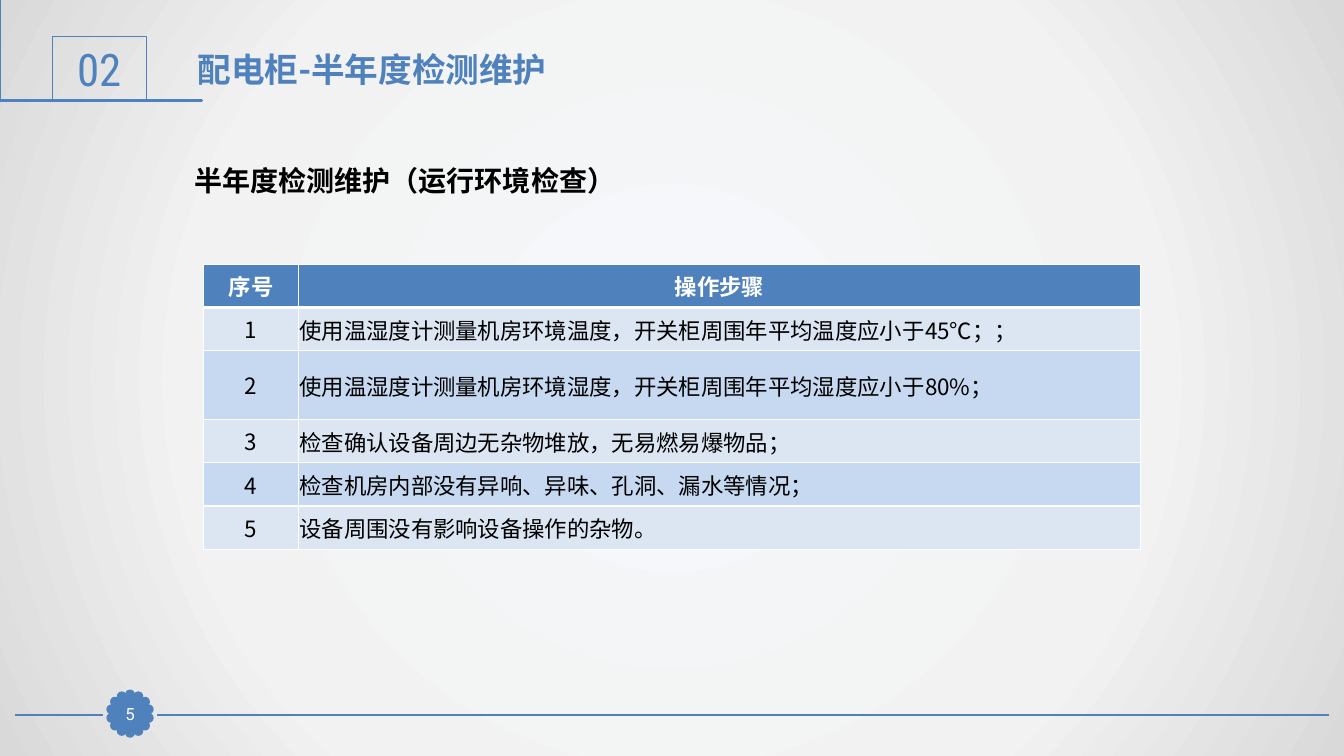
"""Build the half-year power cabinet maintenance slide."""
from math import cos, pi, sin

from lxml.etree import SubElement
from pptx import Presentation
from pptx.dml.color import RGBColor
from pptx.enum.shapes import MSO_CONNECTOR, MSO_SHAPE
from pptx.enum.text import MSO_ANCHOR, PP_ALIGN
from pptx.oxml import parse_xml
from pptx.oxml.ns import nsdecls, qn
from pptx.util import Inches, Pt

TITLE = "配电柜-半年度检测维护"
SUBTITLE = "半年度检测维护（运行环境检查）"
SECTION, PAGE = "02", "5"
HEADER = ("序号", "操作步骤")
STEPS = [
    "使用温湿度计测量机房环境温度，开关柜周围年平均温度应小于45℃；；",
    "使用温湿度计测量机房环境湿度，开关柜周围年平均湿度应小于80%；",
    "检查确认设备周边无杂物堆放，无易燃易爆物品；",
    "检查机房内部没有异响、异味、孔洞、漏水等情况；",
    "设备周围没有影响设备操作的杂物。",
]
COLUMN_WIDTHS = (0.94, 8.35)
ROW_HEIGHTS = (0.43, 0.43, 0.68, 0.43, 0.43, 0.43)
FOOTER_LINES = [(13.18, 1.56), (1.02, 0.15)]
FOOTER_Y = 7.09
BADGE_CENTER, BADGE_RADIUS, PETAL_SIZE, PETAL_COUNT = (1.29, 7.08), 0.19, 0.07, 14
BRACKET = [
    (0.37, 0.46), (0.38, 0.46), (0.38, 0.92), (1.71, 0.92), (1.71, 0.94),
    (0.36, 0.94), (0.36, 0.48), (0.31, 0.48), (0.31, 0.94), (0.19, 0.94),
    (0.19, 0.46), (0.23, 0.46), (0.23, 0.91), (0.28, 0.91), (0.28, 0.46),
]
THEME = {
    "accent": "4F81BD", "bracket": "339933", "white": "FFFFFF", "black": "000000",
    "bands": ("DCE6F2", "C6D9F1"),
    "background": ((0, "F6F9FC"), (63, "F2F2F2"), (100, "D9D9D9")),
    "cjk": "Noto Sans CJK SC", "latin": "Roboto", "condensed": "Roboto Condensed",
    "title": 24, "subtitle": 20, "section": 32, "page": 12, "table": 16,
}


def color(name):
    return RGBColor.from_string(THEME.get(name, name))


def write(frame, text, size, font_color, font="latin", bold=False, align=PP_ALIGN.LEFT):
    paragraph = frame.paragraphs[0]
    paragraph.alignment = align
    run = paragraph.add_run()
    run.text = text
    formats = {"size": Pt(THEME[size]), "bold": bold, "name": THEME[font]}
    for name, value in formats.items():
        setattr(run.font, name, value)
    run.font.color.rgb = color(font_color)
    SubElement(run.font._element, qn("a:ea"), typeface=THEME["cjk"])


def style(shape, fill=None, width=2):
    shape.shadow.inherit = False
    if fill:
        shape.fill.solid()
        shape.fill.fore_color.rgb = color(fill)
    else:
        shape.fill.background()
    shape.line.color.rgb = color("accent")
    shape.line.width = Pt(width)


def set_background(slide):
    slide.background.fill.gradient()
    gradient = slide.element.find(".//" + qn("a:gradFill"))
    stops = "".join(
        f'<a:gs pos="{place * 1000}"><a:srgbClr val="{shade}"/></a:gs>'
        for place, shade in THEME["background"]
    )
    gradient.getparent().replace(gradient, parse_xml(
        f'<a:gradFill {nsdecls("a")} rotWithShape="1"><a:gsLst>{stops}</a:gsLst>'
        '<a:path path="circle"><a:fillToRect l="50000" t="50000" r="50000" b="50000"/>'
        "</a:path></a:gradFill>"
    ))


def add_text(slide, box, *text_format):
    frame = slide.shapes.add_textbox(*map(Inches, box)).text_frame
    frame.word_wrap = True
    write(frame, *text_format)


def add_label(slide, box, fill, *text_format):
    shape = slide.shapes.add_shape(MSO_SHAPE.RECTANGLE, *map(Inches, box))
    style(shape, fill, 0.75)
    frame = shape.text_frame
    frame.vertical_anchor = MSO_ANCHOR.MIDDLE
    write(frame, *text_format, align=PP_ALIGN.CENTER)
    return frame


def add_footer(slide):
    for start, end in FOOTER_LINES:
        line = slide.shapes.add_connector(
            MSO_CONNECTOR.STRAIGHT, *map(Inches, (start, FOOTER_Y, end, FOOTER_Y)))
        line.line.color.rgb = color("accent")
        line.line.width = Pt(1.25)
        SubElement(line._element.spPr, qn("a:effectLst"))
    petals = slide.shapes.add_group_shape()
    for index in range(PETAL_COUNT):
        angle = 2 * pi * index / PETAL_COUNT
        left = BADGE_CENTER[0] + BADGE_RADIUS * sin(angle) - PETAL_SIZE / 2
        top = BADGE_CENTER[1] - BADGE_RADIUS * cos(angle) - PETAL_SIZE / 2
        petal = petals.shapes.add_shape(
            MSO_SHAPE.OVAL, *map(Inches, (left, top, PETAL_SIZE, PETAL_SIZE)))
        style(petal, "accent")
    frame = add_label(slide, (1.13, 6.93, 0.32, 0.31), "accent", PAGE, "page", "white")
    for side in ("left", "top", "right", "bottom"):
        setattr(frame, f"margin_{side}", 0)


def add_heading(slide):
    builder = slide.shapes.build_freeform(*BRACKET[0], scale=Inches(1))
    builder.add_line_segments(BRACKET[1:], close=True)
    style(builder.convert_to_shape(), "bracket")
    add_label(slide, (0.52, 0.36, 0.93, 0.64), None, SECTION, "section", "accent", "condensed")
    add_text(slide, (1.86, 0.44, 9.69, 0.5), TITLE, "title", "accent", "latin", True)
    add_text(slide, (1.83, 1.57, 4.65, 0.44), SUBTITLE, "subtitle", "black", "latin", True)


def set_borders(cell, row):
    widths = {"L": 1, "R": 1, "T": 3 if row == 1 else 1, "B": 3 if row == 0 else 1}
    properties = cell._tc.get_or_add_tcPr()
    for index, (side, width) in enumerate(widths.items()):
        properties.insert(index, parse_xml(
            f'<a:ln{side} {nsdecls("a")} w="{Pt(width)}"><a:solidFill>'
            f'<a:srgbClr val="{THEME["white"]}"/></a:solidFill></a:ln{side}>'
        ))


def add_steps_table(slide):
    rows = [HEADER] + [(str(number), step) for number, step in enumerate(STEPS, 1)]
    box = (2.02, 2.62, sum(COLUMN_WIDTHS), sum(ROW_HEIGHTS))
    table = slide.shapes.add_table(len(rows), len(HEADER), *map(Inches, box)).table
    for column, width in zip(table.columns, COLUMN_WIDTHS):
        column.width = Inches(width)
    for row_index, values in enumerate(rows):
        table.rows[row_index].height = Inches(ROW_HEIGHTS[row_index])
        is_header = row_index == 0
        for column_index, value in enumerate(values):
            cell = table.cell(row_index, column_index)
            is_step = column_index == 1 and not is_header
            cell.vertical_anchor = MSO_ANCHOR.MIDDLE
            cell.fill.solid()
            cell.fill.fore_color.rgb = color(
                "accent" if is_header else THEME["bands"][(row_index - 1) % 2])
            if is_step:
                cell.margin_left = cell.margin_right = cell.margin_top = Inches(0.01)
                cell.margin_bottom = 0
            write(cell.text_frame, value, "table", "white" if is_header else "black",
                  "cjk", is_header, PP_ALIGN.LEFT if is_step else PP_ALIGN.CENTER)
            set_borders(cell, row_index)


def main():
    presentation = Presentation()
    presentation.slide_width, presentation.slide_height = Inches(13.33), Inches(7.5)
    slide = presentation.slides.add_slide(presentation.slide_layouts[6])
    set_background(slide)
    add_footer(slide)
    add_heading(slide)
    add_steps_table(slide)
    presentation.save("out.pptx")


if __name__ == "__main__":
    main()
